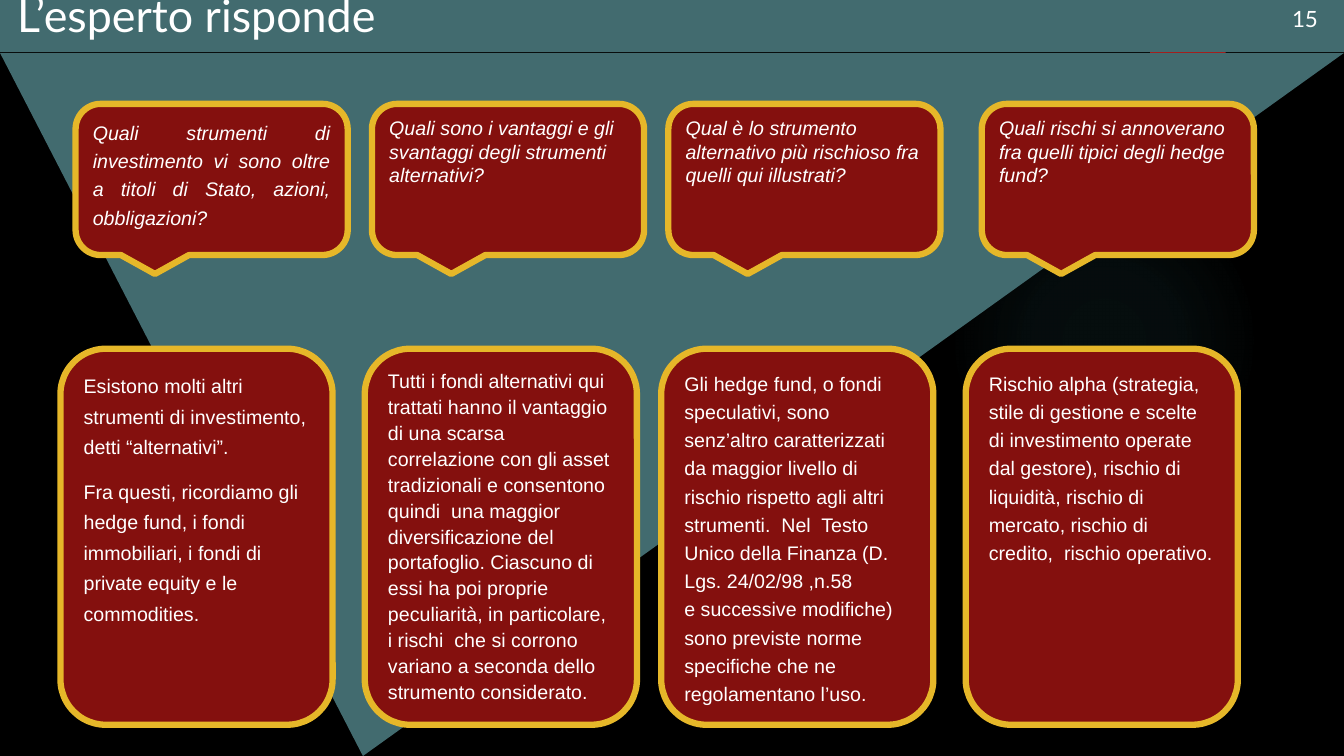
from lxml import etree
from pptx import Presentation
from pptx.dml.color import RGBColor
from pptx.enum.shapes import MSO_SHAPE
from pptx.enum.text import MSO_ANCHOR, MSO_AUTO_SIZE, PP_ALIGN
from pptx.oxml import parse_xml
from pptx.oxml.ns import nsdecls, qn
from pptx.util import Pt

RECT, OVAL = MSO_SHAPE.RECTANGLE, MSO_SHAPE.OVAL
TRIANGLE = MSO_SHAPE.ISOSCELES_TRIANGLE
CALLOUT, ROUNDED = MSO_SHAPE.ROUNDED_RECTANGULAR_CALLOUT, MSO_SHAPE.ROUNDED_RECTANGLE
LEFT, JUSTIFY = PP_ALIGN.LEFT, PP_ALIGN.JUSTIFY
TOP, NO_FIT = MSO_ANCHOR.TOP, MSO_AUTO_SIZE.NONE

BLACK = RGBColor(0x00, 0x00, 0x00)
WHITE = RGBColor(0xFF, 0xFF, 0xFF)
TEAL = RGBColor(0x42, 0x6B, 0x6F)
RED = RGBColor(0xB0, 0x15, 0x13)
MAROON = RGBColor(0x84, 0x10, 0x0E)
GOLD = RGBColor(0xE6, 0xB7, 0x29)

TITLE = "L’esperto risponde"
PAGE = "15"
QUESTIONS = [
    (54, JUSTIFY, 1.2, ["Quali strumenti di investimento vi sono oltre a titoli di Stato, azioni, obbligazioni?"]),
    (265.7, LEFT, 1.0, ["Quali sono i vantaggi e gli svantaggi degli strumenti alternativi?"]),
    (477.4, LEFT, 1.0, ["Qual è lo strumento alternativo più rischioso fra quelli qui illustrati?"]),
    (701.3, LEFT, 1.0, ["Quali rischi si annoverano fra quelli tipici degli hedge fund?"]),
]
ANSWERS = [
    (43.2, LEFT, 1.3, [
        "Esistono molti altri strumenti di investimento, detti “alternativi”.",
        "Fra questi, ricordiamo gli hedge fund, i fondi immobiliari, i fondi di private equity "
        "e le commodities."]),
    (260.6, LEFT, 1.1, [
        "Tutti i fondi alternativi qui trattati hanno il vantaggio di una scarsa correlazione con gli "
        "asset tradizionali e consentono quindi  una maggior diversificazione del portafoglio. "
        "Ciascuno di essi ha poi proprie peculiarità, in particolare, i rischi  che si corrono "
        "variano a seconda dello strumento considerato."]),
    (472.3, LEFT, 1.2, [
        "Gli hedge fund, o fondi speculativi, sono senz’altro caratterizzati da maggior livello di "
        "rischio rispetto agli altri strumenti.  Nel  Testo Unico della Finanza (D. Lgs. 24/02/98 "
        ",n.58 \ve successive modifiche) sono previste norme specifiche che ne regolamentano l’uso."]),
    (689.8, LEFT, 1.2, [
        "Rischio alpha (strategia, stile di gestione e scelte di investimento operate dal gestore), "
        "rischio di liquidità, rischio di mercato, rischio di credito,  rischio operativo."]),
]
ROWS = [
    (CALLOUT, 74.2, 108, True, QUESTIONS),
    (ROUNDED, 249.1, 268.6, False, ANSWERS),
]
CARD_W = 194.4
GLOW_STOPS = [(0, 7), (36, 6), (69, 0), (100, 0)]

WIDTH, HEIGHT = 960, 540
HEADER_H, TRIANGLE_TOP = 37.2, 37.8


def add_block(slide, kind, x, y, w, h, fill):
    sp = slide.shapes.add_shape(kind, Pt(x), Pt(y), Pt(w), Pt(h))
    sp.shadow.inherit = False
    sp.fill.solid()
    sp.fill.fore_color.rgb = fill
    sp.line.fill.background()
    return sp


def add_glow(slide):
    sp = add_block(slide, OVAL, 677.5, 131.8, 221.8, 221.8, TEAL)
    stops = "".join(
        f'<a:gs pos="{pos * 1000}"><a:srgbClr val="50B9C1"><a:alpha val="{alpha * 1000}"/></a:srgbClr></a:gs>'
        for pos, alpha in GLOW_STOPS)
    grad = parse_xml(
        f'<a:gradFill {nsdecls("a")}><a:gsLst>{stops}</a:gsLst><a:path path="circle">'
        '<a:fillToRect l="50000" t="50000" r="50000" b="50000"/></a:path></a:gradFill>')
    solid = sp.fill._xPr.find(qn("a:solidFill"))
    solid.getparent().replace(solid, grad)


def write(sp, paragraphs, font, align=LEFT, spacing=1.0):
    tf = sp.text_frame
    frame = {"word_wrap": True, "auto_size": NO_FIT, "vertical_anchor": TOP}
    for name, value in frame.items():
        setattr(tf, name, value)
    for i, text in enumerate(paragraphs):
        p = tf.add_paragraph() if i else tf.paragraphs[0]
        p.text = text
        layout = {"alignment": align, "line_spacing": spacing, "space_before": Pt(10 if i else 0)}
        for name, value in layout.items():
            setattr(p, name, value)
        for r in p.runs:
            for name, value in font.items():
                setattr(r.font, name, value)
            r.font.color.rgb = WHITE
        for br in p._p.findall(qn("a:br")):
            etree.SubElement(br, qn("a:rPr"), sz=str(int(font["size"].pt * 100)))


def main():
    prs = Presentation()
    prs.slide_width, prs.slide_height = Pt(WIDTH), Pt(HEIGHT)
    slide = prs.slides.add_slide(prs.slide_layouts[5])
    slide.background.fill.solid()
    slide.background.fill.fore_color.rgb = BLACK

    title = slide.shapes.title
    add_glow(slide)
    add_block(slide, RECT, 821.5, 0, 54, 90, RED)
    triangle = add_block(slide, TRIANGLE, 0, TRIANGLE_TOP, WIDTH, HEIGHT - TRIANGLE_TOP, TEAL)
    triangle.rotation = 180
    triangle.adjustments[0] = 0.73
    header = add_block(slide, RECT, 0, 0, WIDTH, HEADER_H, TEAL)
    header._element.addnext(title._element)

    title.left, title.top, title.width, title.height = Pt(5), Pt(-12.2), Pt(905), Pt(26.6)
    write(title, [TITLE], {"name": "Lato", "size": Pt(32)})
    page = slide.shapes.add_textbox(Pt(915.8), Pt(0), Pt(39.6), Pt(26.6))
    write(page, [PAGE], {"name": "Lato", "size": Pt(16)})

    for kind, y, h, italic, cards in ROWS:
        font = {"name": "Arial", "size": Pt(14), "italic": italic}
        for x, align, spacing, paragraphs in cards:
            card = add_block(slide, kind, x, y, CARD_W, h, MAROON)
            card.line.color.rgb = GOLD
            card.line.width = Pt(4.5)
            write(card, paragraphs, font, align, spacing)

    prs.save("out.pptx")


if __name__ == "__main__":
    main()
